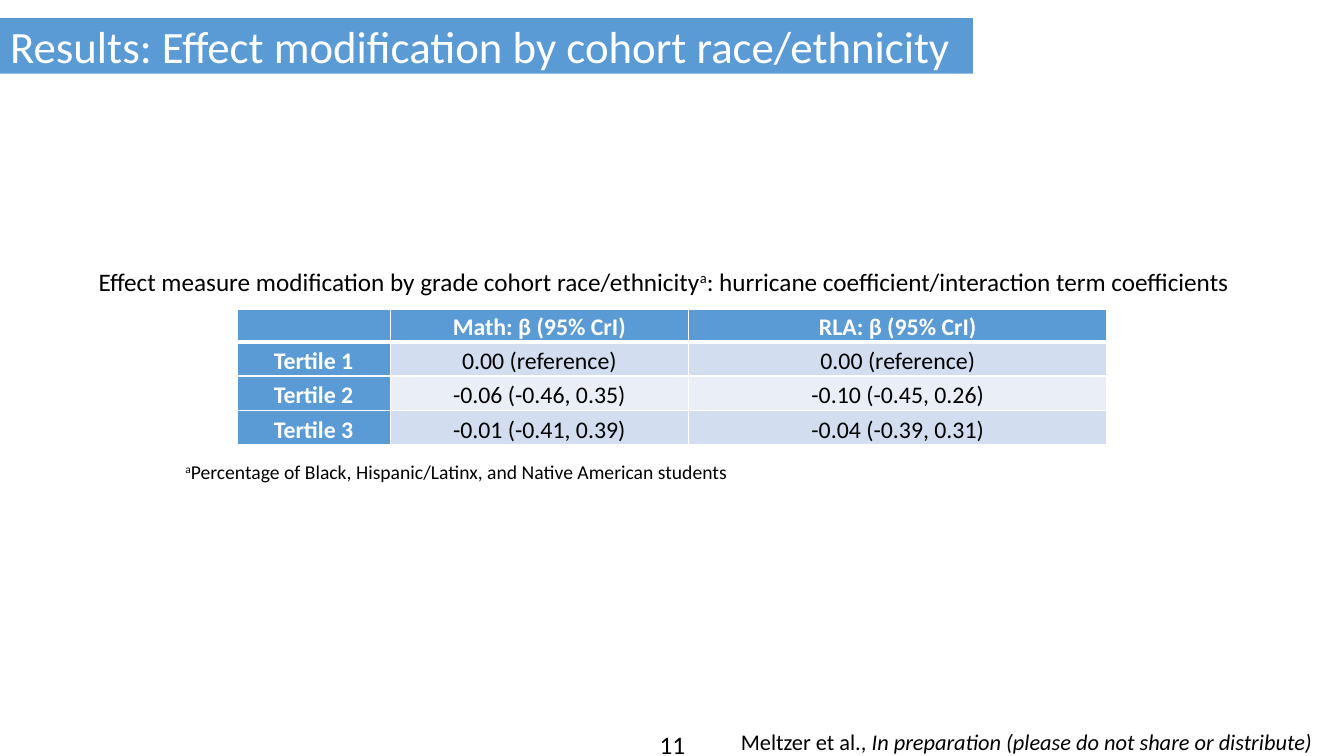
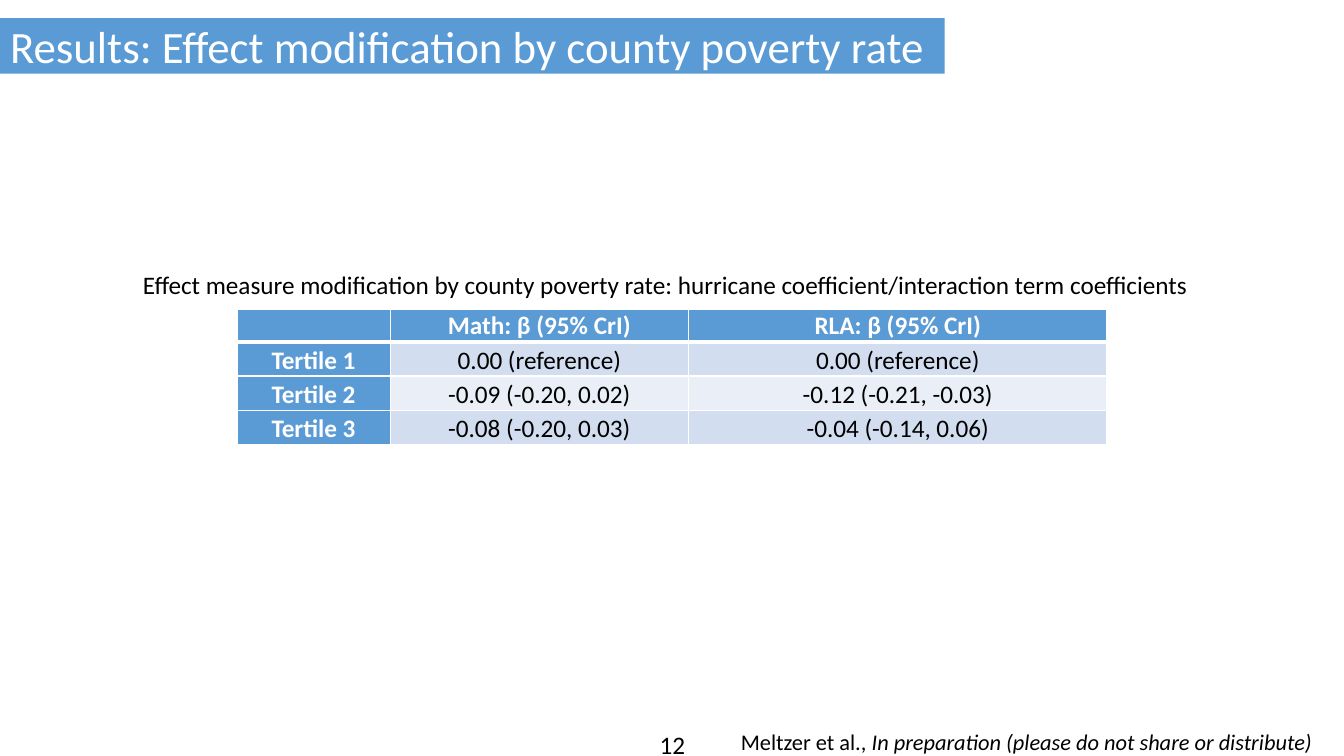
"""Builds two result slides on effect modification, each with a table of tertiles."""
from dataclasses import dataclass

from lxml.etree import SubElement
from pptx import Presentation
from pptx.dml.color import RGBColor
from pptx.enum.text import MSO_ANCHOR as Anchor, MSO_AUTO_SIZE as AutoSize, PP_ALIGN as Align
from pptx.oxml.ns import qn
from pptx.util import Inches, Pt


@dataclass(frozen=True)
class Theme:
    font: str = "Calibri"
    blue: str = "5B9BD5"
    bands: tuple = ("D2DEEF", "EAEFF7")
    white: str = "FFFFFF"
    black: str = "000000"
    title_size: int = 32
    body_size: int = 18
    footer_size: int = 16
    note_size: int = 14


class Deck:
    def __init__(self, theme):
        self.theme = theme
        self.presentation = Presentation()
        self.presentation.slide_width = Inches(13.33)
        self.presentation.slide_height = Inches(7.5)
        self.slide = None

    def add_run(self, paragraph, text, size, color, bold=False, italic=False, superscript=False):
        run = paragraph.add_run()
        run.text = text
        run.font.name = self.theme.font
        run.font.size = Pt(size)
        run.font.bold = bold
        run.font.italic = italic
        run.font.color.rgb = RGBColor.from_string(color)
        if superscript:
            run._r.get_or_add_rPr().set("baseline", "30000")

    def add_slide(self, title, band_width, number):
        self.slide = self.presentation.slides.add_slide(self.presentation.slide_layouts[5])
        self.add_title(title, band_width)
        self.add_text(5.17, 7.19, 3, 0.4, [(number, {})], self.theme.body_size, align=Align.CENTER)
        citation = [("Meltzer et al., ", {}),
                    ("In preparation (please do not share or distribute)", {"italic": True})]
        self.add_text(7.25, 7.17, 6.03, 0.37, citation, self.theme.footer_size)

    def add_title(self, text, width):
        band = self.slide.shapes.title
        band.left, band.top = Inches(0), Inches(0.18)
        band.width, band.height = Inches(width), Inches(0.55)
        band.fill.solid()
        band.fill.fore_color.rgb = RGBColor.from_string(self.theme.blue)
        frame = band.text_frame
        frame.auto_size = AutoSize.NONE
        frame.vertical_anchor = Anchor.MIDDLE
        paragraph = frame.paragraphs[0]
        paragraph.alignment = Align.LEFT
        self.add_run(paragraph, text, self.theme.title_size, self.theme.white)

    def add_text(self, left, top, width, height, runs, size, align=Align.LEFT, wrap=True):
        box = self.slide.shapes.add_textbox(
            Inches(left), Inches(top), Inches(width), Inches(height))
        box.text_frame.word_wrap = wrap
        paragraph = box.text_frame.paragraphs[0]
        paragraph.alignment = align
        for text, style in runs:
            self.add_run(paragraph, text, size, self.theme.black, **style)

    def add_table(self, rows, size):
        widths, heights = (1.52, 2.96, 4.15), (0.32, 0.34, 0.34, 0.34)
        table = self.slide.shapes.add_table(
            len(rows), len(widths), Inches(2.35), Inches(3.07),
            Inches(sum(widths)), Inches(sum(heights))).table
        table.first_col = True
        for column, width in zip(table.columns, widths):
            column.width = Inches(width)
        for row, height in zip(table.rows, heights):
            row.height = Inches(height)
        for row_index, values in enumerate(rows):
            for column_index, text in enumerate(values):
                self.fill_cell(table.cell(row_index, column_index), text, size,
                               row_index, column_index)

    def fill_cell(self, cell, text, size, row_index, column_index):
        is_header = row_index == 0 or column_index == 0
        cell.margin_left = cell.margin_right = Inches(0.12)
        cell.margin_top = cell.margin_bottom = 0
        cell.vertical_anchor = Anchor.BOTTOM
        paragraph = cell.text_frame.paragraphs[0]
        paragraph.alignment = Align.CENTER
        if text:
            color = self.theme.white if is_header else self.theme.black
            self.add_run(paragraph, text, size, color, bold=is_header)
        else:
            paragraph.font.size = Pt(size)
        self.add_borders(cell, {"lnL": 1, "lnR": 1, "lnT": 3 if row_index == 1 else 1,
                                "lnB": 3 if row_index == 0 else 1})
        fill = self.theme.blue if is_header else self.theme.bands[(row_index - 1) % 2]
        cell.fill.solid()
        cell.fill.fore_color.rgb = RGBColor.from_string(fill)

    def add_borders(self, cell, widths):
        properties = cell._tc.get_or_add_tcPr()
        for side, width in widths.items():
            line = SubElement(properties, qn(f"a:{side}"), w=str(Pt(width)))
            fill = SubElement(line, qn("a:solidFill"))
            SubElement(fill, qn("a:srgbClr"), val=self.theme.white)

    def add_caption(self, left, top, width, runs):
        self.add_text(left, top, width, 0.4, runs, self.theme.body_size, wrap=False)

    def add_footnote(self, runs):
        self.add_text(1.74, 4.51, 5.73, 0.34, runs, self.theme.note_size, wrap=False)


def tertile_rows(math_values, rla_values):
    rows = [("", "Math: β (95% CrI)", "RLA: β (95% CrI)")]
    pairs = zip(("0.00 (reference)", *math_values), ("0.00 (reference)", *rla_values))
    return rows + [(f"Tertile {number}", *pair) for number, pair in enumerate(pairs, 1)]


def main():
    deck = Deck(Theme())
    marker = ("a", {"superscript": True})

    deck.add_slide("Results: Effect modification by cohort race/ethnicity", 9.65, "11")
    deck.add_table(tertile_rows(("-0.06 (-0.46, 0.35)", "-0.01 (-0.41, 0.39)"),
                                ("-0.10 (-0.45, 0.26)", "-0.04 (-0.39, 0.31)")), 17)
    deck.add_caption(0.88, 2.59, 11.57, [
        ("Effect measure modification by grade cohort race/ethnicity", {}), marker,
        (": hurricane coefficient/interaction term coefficients", {})])
    deck.add_footnote([
        marker, ("Percentage of Black, Hispanic/Latinx, and Native American students", {})])

    deck.add_slide("Results: Effect modification by county poverty rate", 9.37, "12")
    deck.add_caption(1.32, 2.62, 10.7, [
        ("Effect measure modification by county poverty rate: "
         "hurricane coefficient/interaction term coefficients", {})])
    deck.add_table(tertile_rows(("-0.09 (-0.20, 0.02)", "-0.08 (-0.20, 0.03)"),
                                ("-0.12 (-0.21, -0.03)", "-0.04 (-0.14, 0.06)")), 18)

    deck.presentation.save("out.pptx")


if __name__ == "__main__":
    main()
